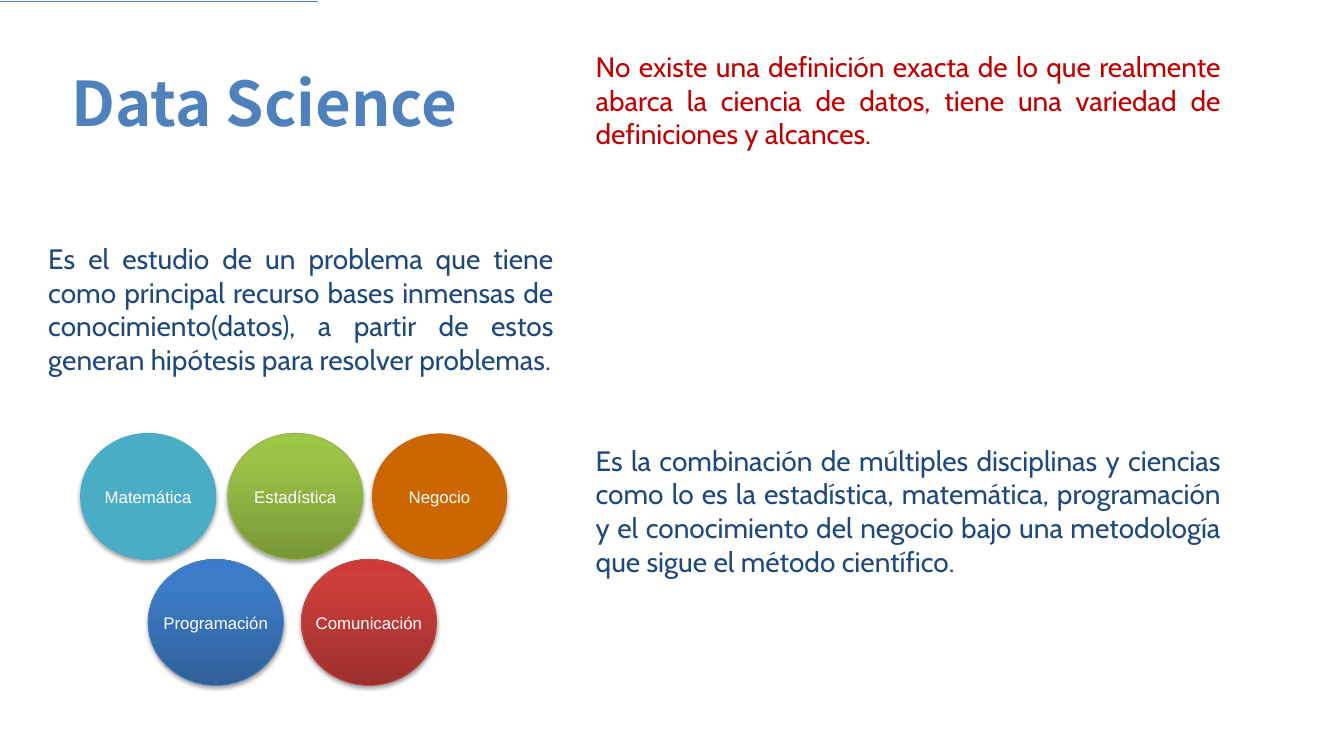
from copy import deepcopy

from lxml.etree import SubElement
from pptx import Presentation
from pptx.dml.color import RGBColor
from pptx.enum.shapes import MSO_CONNECTOR, MSO_SHAPE
from pptx.enum.text import MSO_ANCHOR, PP_ALIGN
from pptx.oxml.ns import qn
from pptx.util import Inches, Pt

# Content
COLORS = {
    "title": "4F81BD", "navy": "1F497D", "red": "C00000",
    "white": "FFFFFF", "black": "000000", "rule": "4B7EBC",
}
TITLE = "Data Science"
# text, colour, (left, top, width, height)
STATEMENTS = [
    ("Es el estudio de un problema que tiene como principal recurso bases "
     "inmensas de conocimiento(datos), a partir de estos generan hipótesis "
     "para resolver problemas.", "navy", (0.38, 2.01, 5.21, 1.77)),
    ("No existe una definición exacta de lo que realmente abarca la ciencia "
     "de datos, tiene una variedad de definiciones y alcances.",
     "red", (5.81, 0.47, 6.4, 1.07)),
    ("Es la combinación de múltiples disciplinas y ciencias como lo es la "
     "estadística, matemática, programación y el conocimiento del negocio "
     "bajo una metodología que sigue el método científico.",
     "navy", (5.81, 4.23, 6.4, 1.55)),
]
# name, left, row, fill colours from bottom to top, outline
DISCIPLINES = [
    ("Matemática", 0.8, 0, ["4BACC6"], "4BACC6"),
    ("Estadística", 2.26, 0, ["779737", "9BC348", "9DC746"], "98B955"),
    ("Programación", 1.47, 1, ["2F5F99", "3D7CC7", "3A7CCB"], "4B7EBC"),
    ("Negocio", 3.69, 0, ["CC6600"], None),
    ("Comunicación", 2.99, 1, ["9C2F2D", "CB3E3A", "CE3B37"], "BF4C48"),
]
GRADIENT_POSITIONS = (0, 0.8, 1)
CIRCLE_W, CIRCLE_H, CIRCLES_TOP = 1.34, 1.25, 4.3


def rgb(value):
    return RGBColor.from_string(value)


def write(shape, text, font, size, color, align, anchor, wrap=True):
    frame = shape.text_frame
    frame.word_wrap = wrap
    frame.vertical_anchor = anchor
    paragraph = frame.paragraphs[0]
    paragraph.text = text
    paragraph.alignment = align
    paragraph.font.name = font
    paragraph.font.size = Pt(size)
    paragraph.font.color.rgb = rgb(color)
    return paragraph


def paint(shape, colors):
    fill = shape.fill
    if len(colors) == 1:
        fill.solid()
        fill.fore_color.rgb = rgb(colors[0])
        return
    fill.gradient()
    fill.gradient_angle = 90
    first_stop = shape.element.spPr.find(".//" + qn("a:gs"))
    first_stop.addnext(deepcopy(first_stop))
    for stop, color, position in zip(fill.gradient_stops, colors, GRADIENT_POSITIONS):
        stop.color.rgb = rgb(color)
        stop.position = position


def add_soft_shadow(shape):
    shape.shadow.inherit = False
    effects = shape.element.spPr.find(qn("a:effectLst"))
    shadow = SubElement(effects, qn("a:outerShdw"), blurRad=str(Pt(3.1)),
                        dist=str(Pt(1.8)), dir="5400000", rotWithShape="0")
    color = SubElement(shadow, qn("a:srgbClr"), val=COLORS["black"])
    SubElement(color, qn("a:alpha"), val="35000")


def main():
    deck = Presentation()
    deck.slide_width, deck.slide_height = Inches(13.33), Inches(7.5)
    slide = deck.slides.add_slide(deck.slide_layouts[5])

    # Title
    title = slide.shapes.title
    title.left, title.top, title.width, title.height = map(Inches, (0.61, 0.47, 4.14, 1.17))
    heading = write(title, TITLE, "Noto Sans CJK TC", 44, COLORS["title"],
                    PP_ALIGN.LEFT, MSO_ANCHOR.MIDDLE)
    heading.font.bold = True
    heading.line_spacing = 0.9

    # Statements
    for text, color, place in STATEMENTS:
        statement = slide.shapes.add_textbox(*map(Inches, place))
        write(statement, text, "Cabin", 20, COLORS[color],
              PP_ALIGN.JUSTIFY, MSO_ANCHOR.BOTTOM)

    # Discipline circles
    for name, left, row, colors, outline in DISCIPLINES:
        circle = slide.shapes.add_shape(
            MSO_SHAPE.OVAL, Inches(left), Inches(CIRCLES_TOP + row * CIRCLE_H),
            Inches(CIRCLE_W), Inches(CIRCLE_H))
        paint(circle, colors)
        if outline:
            circle.line.color.rgb = rgb(outline)
            circle.line.width = Pt(0.75)
        else:
            circle.line.fill.background()
        add_soft_shadow(circle)
        write(circle, name, "Arial", 12, COLORS["white"],
              PP_ALIGN.CENTER, MSO_ANCHOR.MIDDLE, wrap=False)

    # Rule along the top edge
    rule = slide.shapes.add_connector(
        MSO_CONNECTOR.STRAIGHT, Inches(0), Inches(0.02), Inches(3.15), Inches(0.02))
    rule.line.color.rgb = rgb(COLORS["rule"])
    rule.line.width = Pt(0.75)
    SubElement(rule.element.spPr, qn("a:effectLst"))

    deck.save("out.pptx")


if __name__ == "__main__":
    main()
